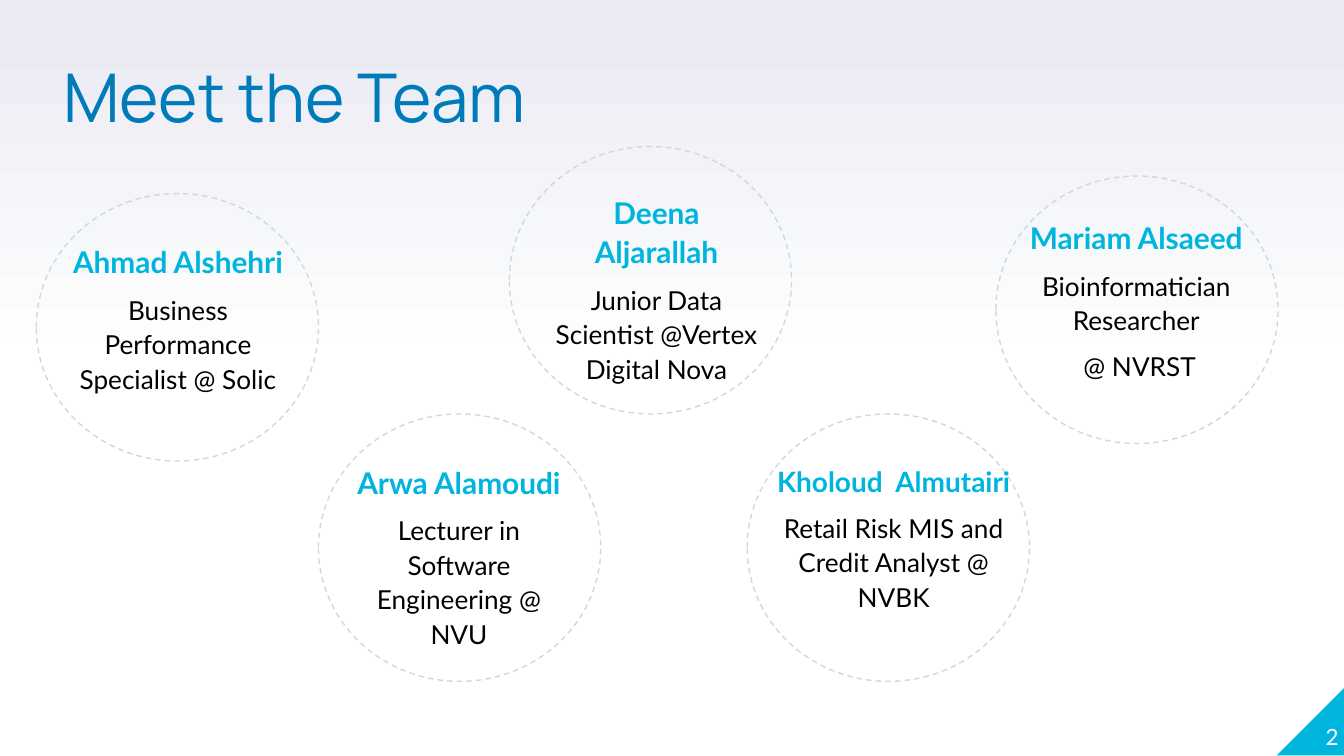
from copy import deepcopy
from dataclasses import dataclass

from pptx import Presentation
from pptx.dml.color import RGBColor
from pptx.enum.dml import MSO_LINE
from pptx.enum.shapes import MSO_SHAPE
from pptx.enum.text import MSO_ANCHOR, MSO_AUTO_SIZE, PP_ALIGN
from pptx.oxml.ns import qn
from pptx.util import Inches, Pt

ELLIPSE, TRIANGLE = MSO_SHAPE.OVAL, MSO_SHAPE.RIGHT_TRIANGLE
LEFT, CENTER, RIGHT = PP_ALIGN.LEFT, PP_ALIGN.CENTER, PP_ALIGN.RIGHT
TOP, BOTTOM = MSO_ANCHOR.TOP, MSO_ANCHOR.BOTTOM
DASH, NO_FIT = MSO_LINE.DASH, MSO_AUTO_SIZE.NONE
CYAN, BLUE, BLACK, WHITE = "00B5DD", "007BB9", "000000", "FFFFFF"
GREY, LAVENDER = "CFD8DC", "E9EAF2"
SLIDE_W = 10
SLIDE_H = SLIDE_W * 9 / 16
CIRCLE_W, CIRCLE_H = 2.1, 1.99
TEXT_W, TEXT_H = 1.59, 1.66


@dataclass
class Member:
    name: str
    role: tuple[str, ...]
    circle: tuple[float, float]
    text: tuple[float, float]
    width: float = TEXT_W
    name_size: int = 16


MEMBERS = [
    Member("Ahmad Alshehri", ("Business Performance Specialist @ Solic",),
           (0.27, 1.44), (0.53, 1.79)),
    Member("Arwa Alamoudi", ("Lecturer in Software Engineering @ NVU",),
           (2.37, 3.08), (2.62, 3.43)),
    Member("Deena Aljarallah", ("Junior Data Scientist @Vertex Digital Nova",),
           (3.79, 1.09), (4.09, 1.42)),
    Member("Kholoud  Almutairi", ("Retail Risk MIS and Credit Analyst @ NVBK",),
           (5.56, 3.08), (5.77, 3.43), 1.76, 15),
    Member("Mariam Alsaeed", ("Bioinformatician Researcher", " @ NVRST"),
           (7.41, 1.31), (7.66, 1.61)),
]


def rgb(color: str) -> RGBColor:
    return RGBColor.from_string(color)


def place(sp, x: float, y: float, w: float, h: float) -> None:
    sp.left, sp.top, sp.width, sp.height = map(Inches, (x, y, w, h))


def setup_frame(sp, anchor=TOP):
    tf = sp.text_frame
    tf.word_wrap = True
    tf.auto_size = NO_FIT
    tf.vertical_anchor = anchor
    tf.margin_left = tf.margin_top = tf.margin_right = tf.margin_bottom = 0
    return tf


def write(p, text: str, size: int, color: str, align, font: str = "Lato",
          bold: bool = False, spacing: float = 1.0, before: int = 0) -> None:
    p.alignment, p.line_spacing, p.space_before = align, spacing, Pt(before)
    r = p.add_run()
    r.text = text
    r.font.name, r.font.size, r.font.bold = font, Pt(size), bold
    r.font.color.rgb = rgb(color)


def draw_background(s) -> None:
    fill = s.background.fill
    fill.gradient()
    fill.gradient_angle = 90
    gs = s._element.find(".//" + qn("a:gs"))
    gs.addnext(deepcopy(gs))
    stops = ((0, WHITE), (0.5, WHITE), (1, LAVENDER))
    for stop, (position, color) in zip(fill.gradient_stops, stops):
        stop.position = position
        stop.color.rgb = rgb(color)


def draw_corner(s) -> None:
    sp = s.shapes.add_shape(TRIANGLE, 0, 0, 0, 0)
    place(sp, 9.5, 5.11, 0.51, 0.51)
    sp._element.spPr.find(qn("a:xfrm")).set("flipH", "1")
    sp.shadow.inherit = False
    sp.fill.solid()
    sp.fill.fore_color.rgb = rgb(CYAN)
    sp.line.fill.background()
    sp = s.shapes.add_textbox(0, 0, 0, 0)
    place(sp, 9.46, 5.07, 0.5, 0.51)
    write(setup_frame(sp, BOTTOM).paragraphs[0], "2", 12, WHITE, RIGHT)


def draw_circle(s, m: Member) -> None:
    sp = s.shapes.add_shape(ELLIPSE, 0, 0, 0, 0)
    place(sp, *m.circle, CIRCLE_W, CIRCLE_H)
    sp.shadow.inherit = False
    sp.fill.background()
    sp.line.color.rgb = rgb(GREY)
    sp.line.width = Pt(0.75)
    sp.line.dash_style = DASH


def fill_member(sp, m: Member) -> None:
    place(sp, *m.text, m.width, TEXT_H)
    tf = setup_frame(sp)
    write(tf.paragraphs[0], m.name, m.name_size, CYAN, CENTER,
          bold=True, spacing=1.1, before=6)
    for line in m.role:
        write(tf.add_paragraph(), line, 14, BLACK, CENTER, spacing=1.1, before=6)


def main() -> None:
    prs = Presentation()
    prs.slide_width, prs.slide_height = Inches(SLIDE_W), Inches(SLIDE_H)
    s = prs.slides.add_slide(prs.slide_layouts[0])
    draw_background(s)
    draw_corner(s)

    title = s.shapes.title
    place(title, 0.47, 0.53, 4.75, 0.91)
    write(setup_frame(title).paragraphs[0], "Meet the Team", 36, BLUE, LEFT,
          font="Manrope", spacing=0.8)

    for m in MEMBERS:
        draw_circle(s, m)
    fill_member(s.placeholders[1], MEMBERS[0])
    for m in MEMBERS[1:]:
        fill_member(s.shapes.add_textbox(0, 0, 0, 0), m)
    prs.save("out.pptx")


if __name__ == "__main__":
    main()
